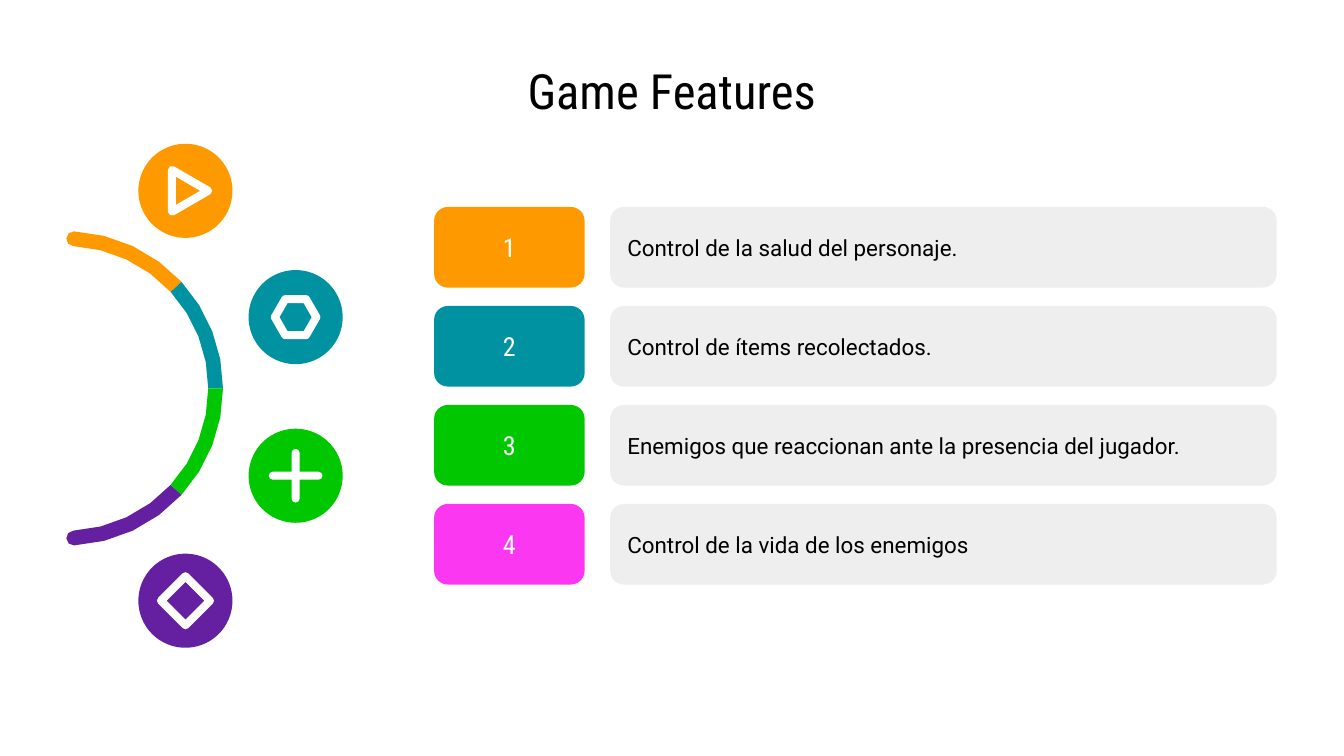
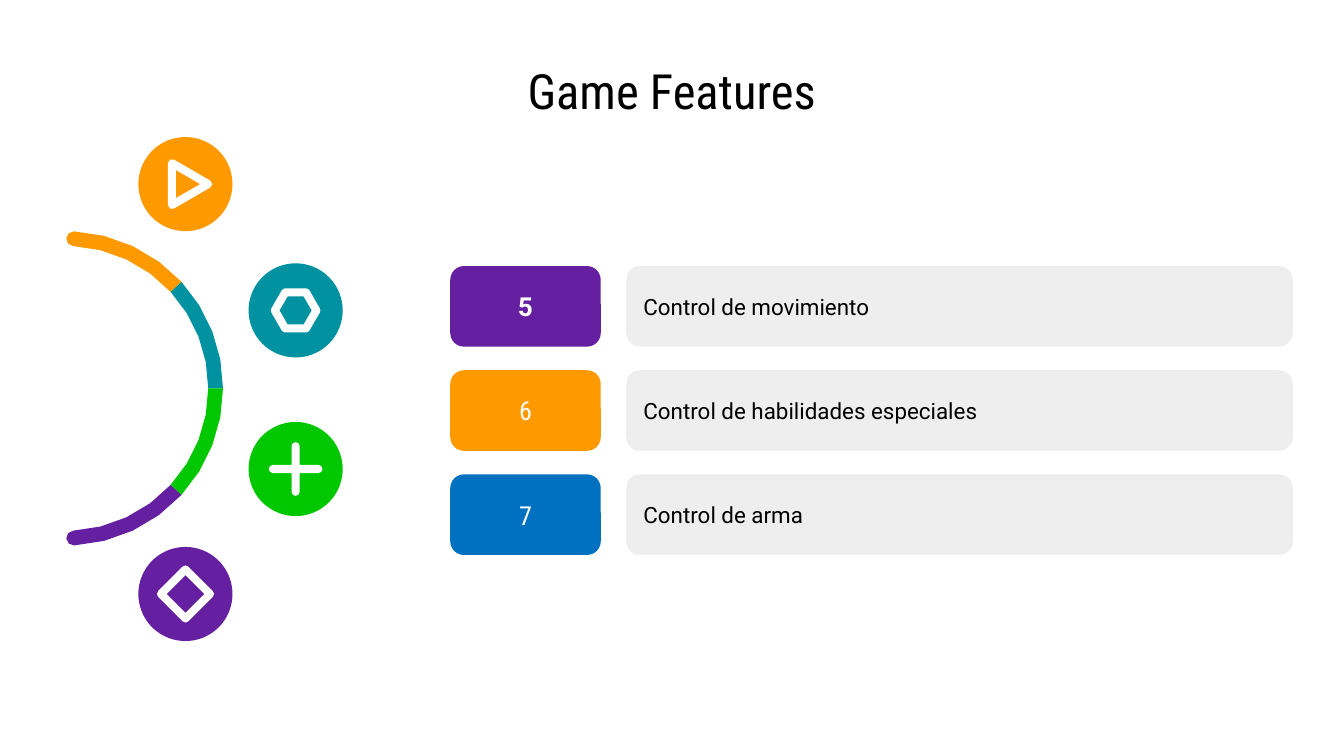
import math

from pptx import Presentation
from pptx.dml.color import RGBColor
from pptx.enum.shapes import MSO_SHAPE
from pptx.enum.text import MSO_ANCHOR, PP_ALIGN
from pptx.util import Inches, Pt

ROUNDED, CIRCLE = MSO_SHAPE.ROUNDED_RECTANGLE, MSO_SHAPE.OVAL
LEFT, CENTER, MIDDLE = PP_ALIGN.LEFT, PP_ALIGN.CENTER, MSO_ANCHOR.MIDDLE

WIDTH, HEIGHT = 10, 10 * 9 / 16
BODY_FONT, HEAD_FONT = "Roboto", "Roboto Condensed"
ORANGE, TEAL, GREEN, PURPLE = "FF9900", "0092A1", "00C700", "6520A2"
PINK, BLUE, GREY, WHITE, BLACK = "FB37F2", "0070C0", "EEEEEE", "FFFFFF", "000000"

# Feature rows
NUMBER_WIDTH, FEATURE_WIDTH, ROW_HEIGHT, GUTTER = 1.12, 4.96, 0.6, 0.19

# Ring of four bands
RING_X, RING_Y, OUTER, INNER = 0.49, 2.89, 1.17, 1.06
TIP, JOINT = 87, 42.6
BANDS = [(-JOINT, -TIP, ORANGE), (0, -JOINT, TEAL), (JOINT, TIP, PURPLE), (0, JOINT, GREEN)]

# Discs: centre, colour
DISC = 0.7
DISCS = [(1.38, 1.42, ORANGE), (2.2, 2.36, TEAL), (2.2, 3.54, GREEN), (1.38, 4.47, PURPLE)]

# Polygon icons by disc colour: sides, hole radius, shift to the right
POLYGONS = {ORANGE: (3, 0.12, -0.01), TEAL: (6, 0.12, 0), PURPLE: (4, 0.14, 0)}
STROKE = 0.03  # half the icon stroke
PLUS_ARM = 0.17

# Per slide: left edge, first and last row top, lift of the discs, rows
SLIDES = [
    (3.23, 1.54, 3.75, 0, [
        ("1", ORANGE, "Control de la salud del personaje."),
        ("2", TEAL, "Control de ítems recolectados."),
        ("3", GREEN, "Enemigos que reaccionan ante la presencia del jugador."),
        ("4", PINK, "Control de la vida de los enemigos"),
    ]),
    (3.35, 1.98, 3.53, 0.05, [
        ("5", PURPLE, "Control de movimiento"),
        ("6", ORANGE, "Control de habilidades especiales"),
        ("7", BLUE, "Control de arma"),
    ]),
]


def paint(shape, color):
    shape.fill.solid()
    shape.fill.fore_color.rgb = RGBColor.from_string(color)
    shape.line.fill.background()
    shape.shadow.inherit = False


def arc(x, y, radius, start, end, steps):
    angles = [math.radians(start + (end - start) * i / steps) for i in range(steps + 1)]
    return [(x + radius * math.cos(a), y + radius * math.sin(a)) for a in angles]


prs = Presentation()
prs.slide_width, prs.slide_height = Inches(WIDTH), Inches(HEIGHT)

for left, first_top, last_top, lift, rows in SLIDES:
    slide = prs.slides.add_slide(prs.slide_layouts[6])
    shapes = slide.shapes

    # Title
    title = shapes.add_textbox(*map(Inches, (0.05 * WIDTH, 0.08 * HEIGHT, 0.9 * WIDTH, 0.44)))
    texts = [(title, "Game Features", HEAD_FONT, 26, BLACK, CENTER, False)]

    # Ring bands, rounded at the two tips
    outlines = []
    for near, far, color in BANDS:
        band = arc(RING_X, RING_Y, OUTER, near, far, 4)
        if abs(far) == TIP:
            cap_x, cap_y = arc(RING_X, RING_Y, (OUTER + INNER) / 2, far, far, 1)[0]
            cap_end = far + math.copysign(180, far)
            band += arc(cap_x, cap_y, (OUTER - INNER) / 2, far, cap_end, 4)[1:-1]
        band += arc(RING_X, RING_Y, INNER, far, near, 4)
        outlines.append(([band], color))

    # Discs and their icons
    for x, base_y, color in DISCS:
        y = base_y - lift
        disc = shapes.add_shape(CIRCLE, *map(Inches, (x - DISC / 2, y - DISC / 2, DISC, DISC)))
        paint(disc, color)
        edge, hole = [], []
        if color in POLYGONS:
            sides, hole_radius, shift = POLYGONS[color]
            half = 180 / sides
            middle = hole_radius + STROKE / math.cos(math.radians(half))
            hole = arc(x + shift, y, hole_radius, 0, 360, sides)[:-1]
            for i, corner in enumerate(arc(x + shift, y, middle, 0, 360, sides)[:-1]):
                angle = i * 2 * half
                edge += arc(*corner, STROKE, angle - half, angle + half, 2)
            outlines.append(([edge, hole], WHITE))
        else:
            for angle in range(0, 360, 90):
                end = arc(x, y, PLUS_ARM, angle, angle, 1)[0]
                edge += arc(*end, STROKE, angle - 90, angle + 90, 4)
                edge += arc(x, y, STROKE * math.sqrt(2), angle + 45, angle + 45, 1)[:1]
            outlines.append(([edge], WHITE))

    for contours, color in outlines:
        builder = None
        for contour in contours:
            points = [(Inches(px), Inches(py)) for px, py in contour]
            if builder is None:
                builder = shapes.build_freeform(*points[0], scale=1.0)
            else:
                builder.move_to(*points[0])
            builder.add_line_segments(points[1:], close=True)
        paint(builder.convert_to_shape(), color)

    # Feature rows
    pitch = (last_top - first_top) / (len(rows) - 1)
    for i, (number, color, feature) in enumerate(rows):
        top = first_top + i * pitch
        bold = number == "5"
        number_font = BODY_FONT if bold else HEAD_FONT
        feature_left = left + NUMBER_WIDTH + GUTTER
        for x, width, fill, *style in [
            (feature_left, FEATURE_WIDTH, GREY, feature, BODY_FONT, 12, BLACK, LEFT, False),
            (left, NUMBER_WIDTH, color, number, number_font, 14, WHITE, CENTER, bold),
        ]:
            box = shapes.add_shape(ROUNDED, *map(Inches, (x, top, width, ROW_HEIGHT)))
            box.adjustments[0] = 0.17
            paint(box, fill)
            texts.append((box, *style))

    # Text
    for box, text, font, size, color, align, bold in texts:
        frame = box.text_frame
        frame.word_wrap = True
        frame.vertical_anchor = MIDDLE
        frame.margin_left = frame.margin_right = Inches(0.1)
        frame.margin_top = frame.margin_bottom = Inches(0.1)
        paragraph = frame.paragraphs[0]
        paragraph.text = text
        paragraph.alignment = align
        paragraph.font.name = font
        paragraph.font.size = Pt(size)
        paragraph.font.bold = bold
        paragraph.font.color.rgb = RGBColor.from_string(color)

prs.save("out.pptx")
